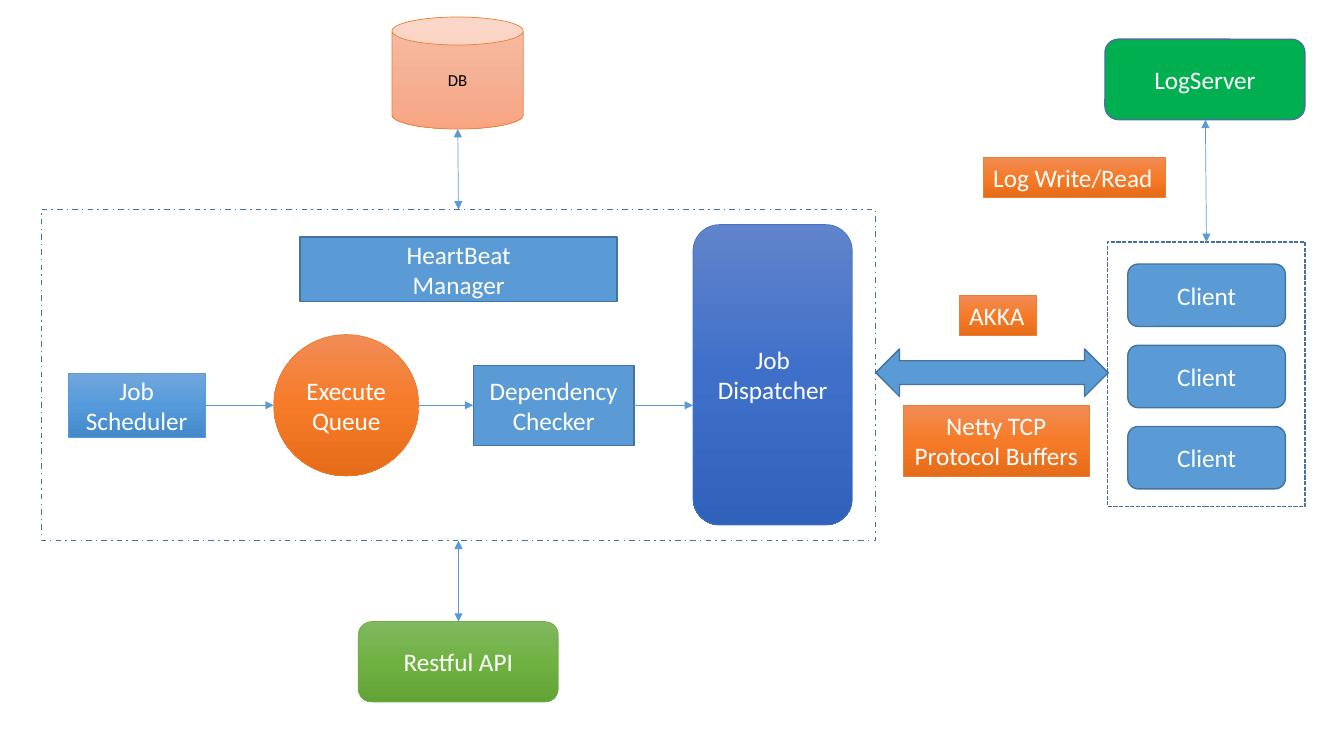
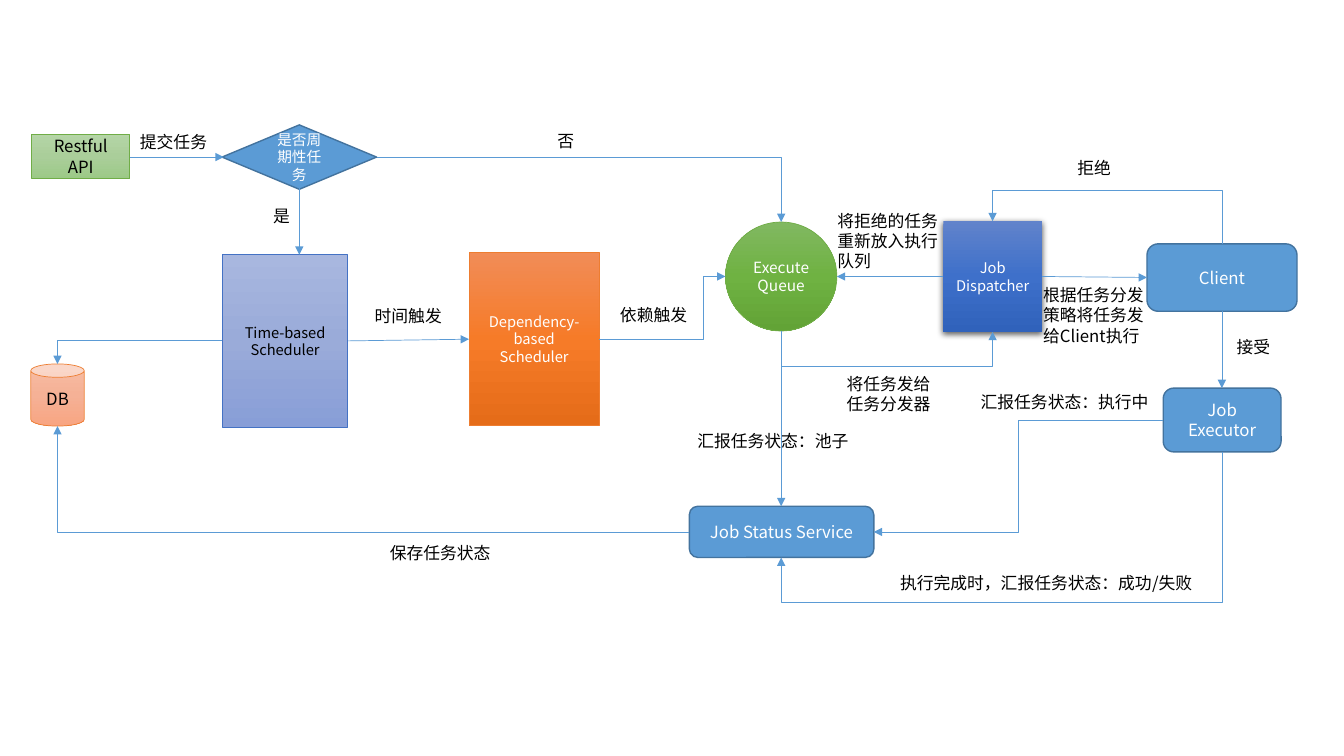
from collections import namedtuple
from copy import deepcopy

from lxml.etree import SubElement
from pptx import Presentation
from pptx.dml.color import RGBColor
from pptx.enum.dml import MSO_LINE
from pptx.enum.shapes import MSO_CONNECTOR, MSO_SHAPE
from pptx.enum.text import MSO_ANCHOR, MSO_AUTO_SIZE, PP_ALIGN
from pptx.oxml.ns import qn
from pptx.util import Pt

# Shared look: fills, outlines and text colours
Style = namedtuple("Style", "fill line line_width text")
WHITE, BLACK = "FFFFFF", "000000"
ARROW_COLOR = "5B9BD5"
FLAT_BLUE = Style(["5B9BD5"], "43739E", 1, WHITE)
FLAT_GREEN = Style(["00B050"], "43739E", 1, WHITE)
FRAME = Style([], "43739E", 1, BLACK)
SOFT_BLUE = Style(["71A6DB", "559BDB", "448ACA"], "5B9BD5", 0.5, WHITE)
DEEP_BLUE = Style(["6183CB", "3E70CA", "3062BB"], "4472C4", 0.5, WHITE)
RAISED_BLUE = DEEP_BLUE._replace(line=None)
LAVENDER = Style(["A8B7DF", "9AABD9", "889ED7"], "4472C4", 0.5, BLACK)
ORANGE = Style(["F18C57", "F67B28", "E56C19"], "ED7D31", 0.5, WHITE)
PEACH = Style(["F7BDA5", "F5B196", "F8A582"], "ED7D31", 0.5, BLACK)
GREEN = Style(["81B861", "6FB242", "62A336"], "70AD47", 0.5, WHITE)
PALE_GREEN = Style(["B5D5A7", "AACE9A", "9CC987"], "70AD47", 0.5, BLACK)
LATIN, CJK = "Calibri", "Noto Sans CJK SC"


def rgb(color):
    return RGBColor.from_string(color)


def write(shape, text, size, font, color, align):
    """Fill a shape with one paragraph per line of text."""
    frame = shape.text_frame
    frame.text = text
    for paragraph in frame.paragraphs:
        paragraph.alignment = align
        paragraph.font.size = Pt(size)
        paragraph.font.name = font
        paragraph.font.color.rgb = rgb(color)
        properties = paragraph._p.pPr.find(qn("a:defRPr"))
        SubElement(properties, qn("a:ea"), typeface=CJK)
    return frame


def paint(shape, colors):
    """No colour, one flat colour, or a top-to-bottom gradient of three."""
    fill = shape.fill
    if not colors:
        fill.background()
    elif len(colors) == 1:
        fill.solid()
        fill.fore_color.rgb = rgb(colors[0])
    else:
        fill.gradient()
        fill.gradient_angle = 270
        stops = shape._element.spPr.find(".//" + qn("a:gsLst"))
        stops.insert(1, deepcopy(stops[0]))
        for index, stop in enumerate(fill.gradient_stops):
            stop.position = index / 2
            stop.color.rgb = rgb(colors[index])


def add_box(slide, kind, bounds, style, text="", size=12, font=CJK, dash=None):
    shape = slide.shapes.add_shape(kind, *map(Pt, bounds))
    shape.shadow.inherit = False
    paint(shape, style.fill)
    if style.line:
        shape.line.color.rgb = rgb(style.line)
        shape.line.width = Pt(style.line_width)
    else:
        shape.line.fill.background()
    if dash:
        shape.line.dash_style = dash
    if text:
        frame = write(shape, text, size, font, style.text, PP_ALIGN.CENTER)
        frame.vertical_anchor = MSO_ANCHOR.MIDDLE
    return shape


def add_tag(slide, bounds, text, align=PP_ALIGN.LEFT):
    """Orange label that hugs its text."""
    shape = add_box(slide, MSO_SHAPE.RECTANGLE, bounds, ORANGE)
    frame = write(shape, text, 18, LATIN, WHITE, align)
    frame.vertical_anchor = MSO_ANCHOR.TOP
    frame.word_wrap = False
    frame.auto_size = MSO_AUTO_SIZE.SHAPE_TO_FIT_TEXT


def add_label(slide, left, top, width, text):
    """Plain caption beside an arrow."""
    height = 7.2 + 14.4 * (text.count("\n") + 1)
    label = slide.shapes.add_textbox(*map(Pt, (left, top, width, height)))
    frame = write(label, text, 12, CJK, BLACK, PP_ALIGN.LEFT)
    frame.word_wrap = True
    frame.auto_size = MSO_AUTO_SIZE.SHAPE_TO_FIT_TEXT


def add_shadow(shape):
    effects = shape._element.spPr.find(qn("a:effectLst"))
    shadow = SubElement(effects, qn("a:outerShdw"), blurRad=str(Pt(4.5)),
                        dist=str(Pt(1.5)), dir="5400000", algn="ctr", rotWithShape="0")
    color = SubElement(shadow, qn("a:srgbClr"), val=BLACK)
    SubElement(color, qn("a:alpha"), val="63000")


def add_arrow(slide, start, end, kind=MSO_CONNECTOR.STRAIGHT, both=False):
    connector = slide.shapes.add_connector(kind, *map(Pt, (*start, *end)))
    connector.line.color.rgb = rgb(ARROW_COLOR)
    connector.line.width = Pt(0.5)
    properties = connector._element.spPr
    line = properties.find(qn("a:ln"))
    if both:
        SubElement(line, qn("a:headEnd"), type="triangle")
    SubElement(line, qn("a:tailEnd"), type="triangle")
    SubElement(properties, qn("a:effectLst"))
    return properties


def add_corner(slide, start, end):
    """Arrow that runs sideways, then turns once."""
    properties = add_arrow(slide, start, end, MSO_CONNECTOR.ELBOW)
    properties.find(qn("a:prstGeom")).set("prst", "bentConnector2")


def add_step(slide, start, end, bend, vertical=False):
    """Arrow with two turns; bend is the x (or y, if vertical) of its middle leg."""
    axis = 1 if vertical else 0
    ratio = (bend - start[axis]) / (end[axis] - start[axis])
    if vertical:
        # Ends of the unrotated connector, before its quarter turn
        center_x, center_y = ((a + b) / 2 for a, b in zip(start, end))
        start, end = ((center_x + y - center_y, center_y - x + center_x)
                      for x, y in (start, end))
    properties = add_arrow(slide, start, end, MSO_CONNECTOR.ELBOW)
    if vertical:
        properties.find(qn("a:xfrm")).set("rot", "5400000")
    guides = properties.find(qn("a:prstGeom")).find(qn("a:avLst"))
    SubElement(guides, qn("a:gd"), name="adj1", fmla=f"val {round(ratio * 100000)}")


def build_architecture(slide):
    def box(kind, bounds, style, text, size=18):
        add_box(slide, kind, bounds, style, text, size, LATIN)

    # Services around the server
    box(MSO_SHAPE.CAN, (280, 12.2, 93.8, 80), PEACH, "DB", 12)
    box(MSO_SHAPE.ROUNDED_RECTANGLE, (256, 444, 142.8, 57.4), GREEN, "Restful API")
    box(MSO_SHAPE.ROUNDED_RECTANGLE, (789.3, 28, 142.8, 57.4), FLAT_GREEN, "LogServer")

    # Clients
    for index in range(3):
        box(MSO_SHAPE.ROUNDED_RECTANGLE, (805.6, 188.6 + 58 * index, 112.6, 44.6),
            FLAT_BLUE, "Client")
    add_box(slide, MSO_SHAPE.RECTANGLE, (791.3, 172.8, 141, 189.2), FRAME,
            dash=MSO_LINE.SQUARE_DOT)

    # Protocol tags
    add_tag(slide, (685.2, 210.8, 55, 29.1), "AKKA")
    add_tag(slide, (645.2, 289.4, 132.8, 50.9), "Netty TCP\nProtocol Buffers",
            PP_ALIGN.CENTER)
    add_tag(slide, (702.4, 112.2, 130, 29.1), "Log Write/Read")

    # Server parts
    box(MSO_SHAPE.RECTANGLE, (48.6, 266.6, 98, 45.8), SOFT_BLUE, "Job\nScheduler")
    box(MSO_SHAPE.OVAL, (195.5, 239, 103.7, 101), ORANGE, "Execute\nQueue")
    box(MSO_SHAPE.ROUNDED_RECTANGLE, (495, 160.4, 113.8, 214.6), DEEP_BLUE,
        "Job\nDispatcher")
    box(MSO_SHAPE.RECTANGLE, (214.4, 169.2, 226.4, 46.2), FLAT_BLUE, "HeartBeat\nManager")
    box(MSO_SHAPE.RECTANGLE, (338, 261.2, 115, 57), FLAT_BLUE, "Dependency\nChecker")
    add_box(slide, MSO_SHAPE.RECTANGLE, (29.6, 149.6, 595.8, 236.6), FRAME,
            dash=MSO_LINE.DASH_DOT)
    add_box(slide, MSO_SHAPE.LEFT_RIGHT_ARROW, (625.5, 249.2, 166.2, 34), FLAT_BLUE)

    # Two-way links, then the job flow
    for start, end in [((861, 85.6), (861.8, 172.8)), ((327, 92.2), (327.5, 149.6)),
                       ((327.5, 386.2), (327.5, 444))]:
        add_arrow(slide, start, end, both=True)
    for left, right in [(146.4, 195.5), (299, 338), (453, 495)]:
        add_arrow(slide, (left, 289.5), (right, 289.5))


def build_job_flow(slide):
    queue_x, client_x, dispatcher_x, db_x = 558, 872.8, 709, 41.1
    row_y = 197.5

    # Steps
    add_box(slide, MSO_SHAPE.OVAL, (518.2, 158.6, 79.6, 77.8), GREEN, "Execute Queue", 11)
    add_box(slide, MSO_SHAPE.CAN, (22, 260, 38.2, 44.4), PEACH, "DB")
    dispatcher = add_box(slide, MSO_SHAPE.RECTANGLE, (673.8, 158, 70.6, 79), RAISED_BLUE,
                         "Job\nDispatcher", 10.5)
    add_shadow(dispatcher)
    add_box(slide, MSO_SHAPE.RECTANGLE, (22.7, 95.6, 70, 32), PALE_GREEN, "Restful\nAPI")
    for bounds, text in [((819.3, 174.2, 107.2, 48.2), "Client"),
                         ((830.9, 277.2, 84.2, 45.6), "Job Executor"),
                         ((492.4, 361.6, 131.8, 36.6), "Job Status Service")]:
        add_box(slide, MSO_SHAPE.ROUNDED_RECTANGLE, bounds, FLAT_BLUE, text)
    add_box(slide, MSO_SHAPE.DIAMOND, (158.6, 89.2, 110.4, 46), FLAT_BLUE,
            "是否周期性任务", 10.5, LATIN)
    add_box(slide, MSO_SHAPE.RECTANGLE, (158.9, 181.9, 89.5, 123.4), LAVENDER,
            "Time-based\nScheduler", 10.5)
    add_box(slide, MSO_SHAPE.RECTANGLE, (335, 180.4, 93.2, 123.6), ORANGE,
            "Dependency-based\nScheduler", 10.5)

    # Straight arrows
    for start, end in [((92.7, 112.2), (159.8, 112.2)),
                       ((213.8, 134.2), (213.8, 181.9)),
                       ((744.4, row_y), (819.3, 198.2)),
                       ((673.8, row_y), (597.8, row_y)),
                       ((client_x, 222.4), (client_x, 277.2)),
                       ((queue_x, 236.3), (queue_x, 361.6)),
                       ((248.4, 243.5), (335, 242.3))]:
        add_arrow(slide, start, end)

    # Arrows with one turn
    for start, end in [((269, 112.2), (queue_x, 158.6)),
                       ((492.4, 380), (db_x, 304.4)),
                       ((158.9, 243.5), (db_x, 260))]:
        add_corner(slide, start, end)

    # Arrows with two turns
    add_step(slide, (428.2, 242.3), (518.2, row_y), 502.3)
    add_step(slide, (830.9, 300), (624.2, 380), 727.5)
    add_step(slide, (queue_x, 236.3), (dispatcher_x, 237), 261.4, vertical=True)
    add_step(slide, (client_x, 174.2), (dispatcher_x, 158), 135.6, vertical=True)
    add_step(slide, (client_x, 322.8), (queue_x, 398.2), 430.5, vertical=True)

    # Captions: left, top, width, text
    for caption in [(92.9, 90.6, 63.5, "提交任务"),
                    (391, 90, 27, "否"),
                    (188, 143.5, 25.2, "是"),
                    (597.6, 263.6, 75.2, "将任务发给\n任务分发器"),
                    (738, 200, 87.2, "根据任务分发\n策略将任务发\n给Client执行"),
                    (876.2, 237, 39.2, "接受"),
                    (762.5, 109.2, 39.2, "拒绝"),
                    (591, 147, 87.2, "将拒绝的任务\n重新放入执行\n队列"),
                    (491, 304, 128.2, "汇报任务状态：池子"),
                    (693.4, 276, 135.6, "汇报任务状态：执行中"),
                    (635.8, 405.8, 226.8, "执行完成时，汇报任务状态：成功/失败"),
                    (271.4, 384, 87.2, "保存任务状态"),
                    (260.6, 214.8, 63.5, "时间触发"),
                    (435.8, 214, 64.8, "依赖触发")]:
        add_label(slide, *caption)


def main():
    presentation = Presentation()
    presentation.slide_width, presentation.slide_height = Pt(960), Pt(540)
    blank = presentation.slide_layouts[6]
    for build in (build_architecture, build_job_flow):
        build(presentation.slides.add_slide(blank))
    presentation.save("out.pptx")


main()
